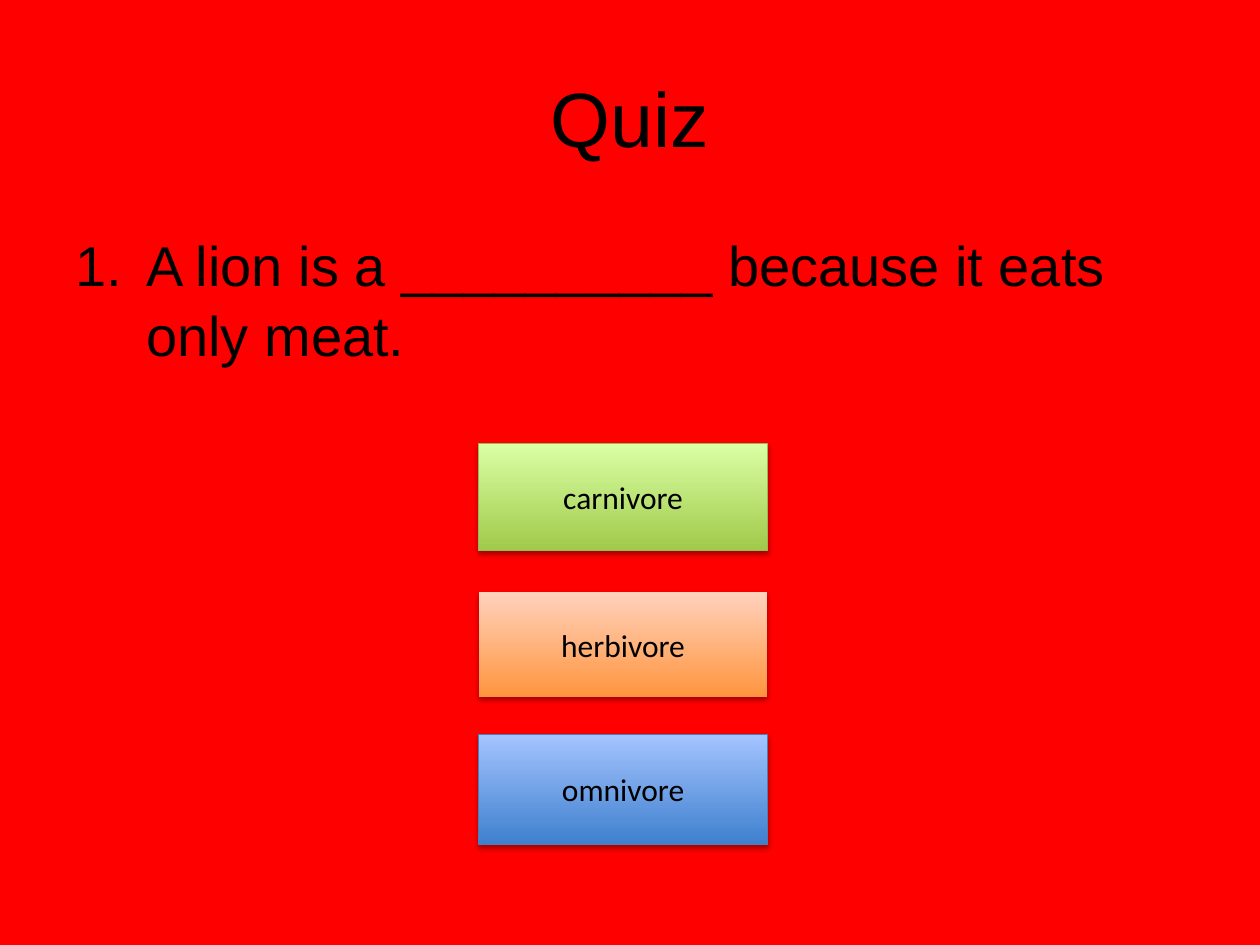
import pptx
import pptx.util
import pptx.dml.color
import pptx.enum.shapes
import pptx.enum.text
import pptx.oxml
import pptx.oxml.ns
from pptx.util import Inches

COLORS = {
    "background": "FF0000",
    "text": "000000",
    "green_dark": "A0CA4A", "green_light": "DAFFA5", "green_line": "98B955",
    "orange_dark": "FF953E", "orange_light": "FFD2BD",
    "blue_dark": "3F80CE", "blue_light": "A4C4FF", "blue_line": "4B7EBC",
}
SHADOW_XML = (
    f'<a:outerShdw {pptx.oxml.ns.nsdecls("a")} blurRad="40000" dist="23000" '
    'dir="5400000" rotWithShape="0"><a:srgbClr val="000000">'
    '<a:alpha val="35000"/></a:srgbClr></a:outerShdw>'
)


def color(name):
    return pptx.dml.color.RGBColor.from_string(COLORS[name])


def write_text(shape, text, font_name, size, alignment, anchor):
    """Fill the shape with one formatted paragraph and return that paragraph."""
    frame = shape.text_frame
    frame.text = text
    frame_format = {
        "word_wrap": True,
        "auto_size": pptx.enum.text.MSO_AUTO_SIZE.NONE,
        "vertical_anchor": anchor,
    }
    for attribute, value in frame_format.items():
        setattr(frame, attribute, value)
    paragraph = frame.paragraphs[0]
    paragraph.alignment = alignment
    font = paragraph.runs[0].font
    for attribute, value in {"name": font_name, "size": pptx.util.Pt(size)}.items():
        setattr(font, attribute, value)
    font.color.rgb = color("text")
    return paragraph


ALIGN = pptx.enum.text.PP_ALIGN
ANCHOR = pptx.enum.text.MSO_ANCHOR

presentation = pptx.Presentation()
presentation.slide_width = Inches(10)
presentation.slide_height = Inches(7.5)
slide = presentation.slides.add_slide(presentation.slide_layouts[1])
slide.background.fill.solid()
slide.background.fill.fore_color.rgb = color("background")

# Title and question
title, question = slide.placeholders
for placeholder, top, height in ((title, 0.3, 1.25), (question, 1.75, 4.95)):
    placeholder.left, placeholder.top = Inches(0.5), Inches(top)
    placeholder.width, placeholder.height = Inches(9), Inches(height)

write_text(title, "Quiz", "Arial", 44, ALIGN.CENTER, ANCHOR.MIDDLE)
paragraph = write_text(
    question, "A lion is a __________ because it eats only meat.",
    "Arial", 32, ALIGN.LEFT, ANCHOR.TOP)
paragraph.space_before = pptx.util.Pt(0)
paragraph.line_spacing = 1.05
properties = paragraph._p.get_or_add_pPr()
properties.set("marL", str(Inches(0.56)))
properties.set("indent", str(Inches(-0.56)))
properties.append(pptx.oxml.parse_xml(
    f'<a:buFont {pptx.oxml.ns.nsdecls("a")} typeface="Arial"/>'))
properties.append(pptx.oxml.parse_xml(
    f'<a:buAutoNum {pptx.oxml.ns.nsdecls("a")} type="arabicPeriod"/>'))

# Answer buttons
answers = (
    ("carnivore", 3.52, 0.85, "green_dark", "green_light", "green_line"),
    ("herbivore", 4.7, 0.83, "orange_dark", "orange_light", None),
    ("omnivore", 5.83, 0.87, "blue_dark", "blue_light", "blue_line"),
)
for answer, top, height, dark, light, outline in answers:
    button = slide.shapes.add_shape(
        pptx.enum.shapes.MSO_SHAPE.ACTION_BUTTON_CUSTOM,
        Inches(3.8), Inches(top), Inches(2.29), Inches(height))
    button.fill.gradient()
    button.fill.gradient_angle = 90
    for stop, position, name in zip(button.fill.gradient_stops, (0, 1), (dark, light)):
        stop.position = position
        stop.color.rgb = color(name)
    if outline:
        button.line.color.rgb = color(outline)
        button.line.width = pptx.util.Pt(0.75)
    else:
        button.line.fill.background()
    button.shadow.inherit = False
    effects = button._element.spPr.find(pptx.oxml.ns.qn("a:effectLst"))
    effects.append(pptx.oxml.parse_xml(SHADOW_XML))
    write_text(button, answer, "Calibri", 18, ALIGN.CENTER, ANCHOR.MIDDLE)

presentation.save("out.pptx")
